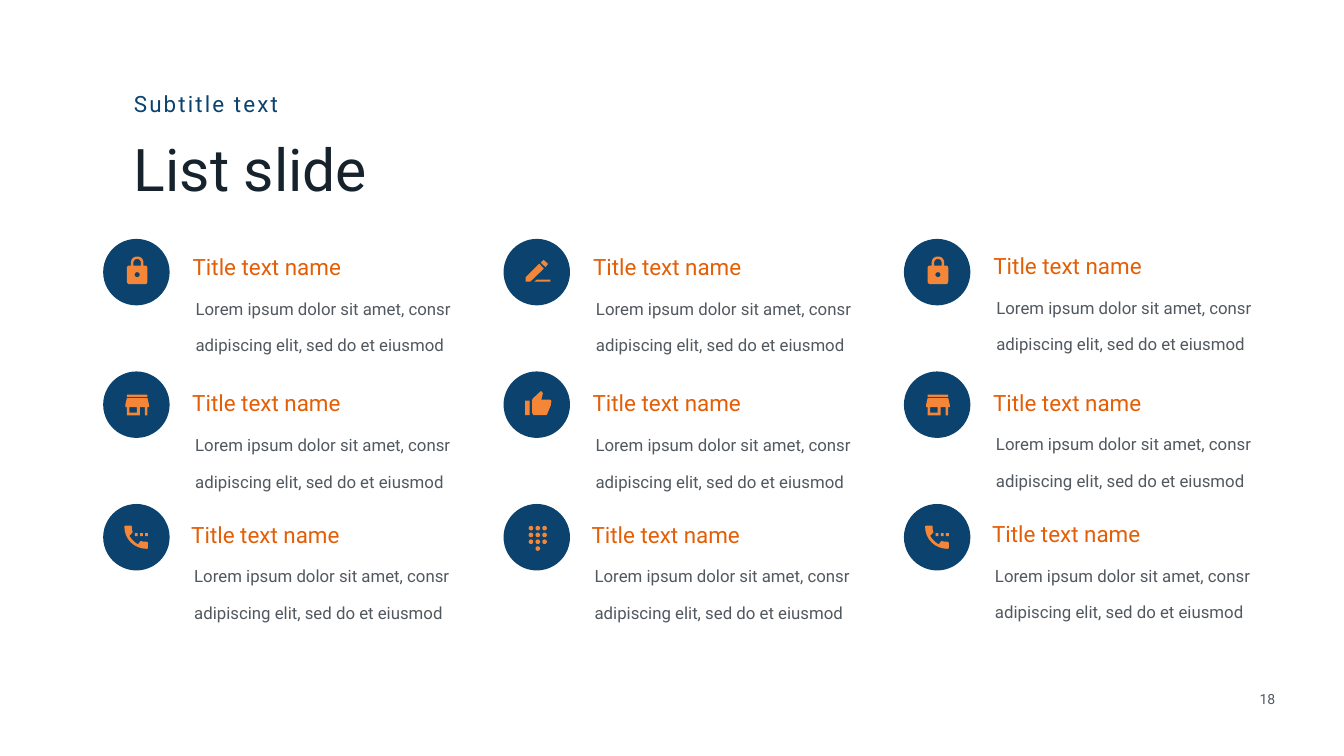
from itertools import product

from pptx import Presentation
from pptx.dml.color import RGBColor
from pptx.enum.shapes import MSO_SHAPE as Shape
from pptx.enum.text import MSO_ANCHOR as Anchor, MSO_AUTO_SIZE as Fit, PP_ALIGN as Align
from pptx.util import Cm, Pt

NAVY = RGBColor(0x0B, 0x42, 0x6E)
INK = RGBColor(0x16, 0x22, 0x2C)
GRAY = RGBColor(0x51, 0x58, 0x5F)
ORANGE = RGBColor(0xF5, 0x86, 0x37)
RUST = RGBColor(0xE4, 0x5E, 0x06)
FONT = "Roboto"

BADGE = 3.35
ICON_GRID = 132
CURVE_STEPS = 8
GRID_LEFT, GRID_TOP = 5.2, 12.04
COLUMN_PITCH, ROW_PITCH = 20.18, 6.68
TEXT_OFFSETS = [(4.41, 0.61), (4.39, 0.81), (4.34, 0.74)]
COLUMN_LIFT = [0, 0, 0.04]

ITEM_TITLE = "Title text name"
ITEM_BODY = "Lorem ipsum dolor sit amet, consr adipiscing elit, sed do et eiusmod"


def rect(x, y, w, h):
    return [(x, y), (x + w, y), (x + w, y + h), (x, y + h)]


def dot(x, y, r):
    k = 0.55 * r
    return [(x, y - r), (x + k, y - r, x + r, y - k, x + r, y),
            (x + r, y + k, x + k, y + r, x, y + r),
            (x - k, y + r, x - r, y + k, x - r, y),
            (x - r, y - k, x - k, y - r, x, y - r)]


# Outline entries: two numbers make a line, six make a cubic curve.
LOCK = [
    [(83, 53), (80, 53), (80, 48), (80, 40, 75, 35, 67.5, 35), (60, 35, 55, 40, 55, 48),
     (55, 53), (52, 53), (49, 53, 47, 55, 47, 58), (47, 84), (47, 87, 49, 90, 52, 90),
     (83, 90), (86, 90, 88, 87, 88, 84), (88, 58), (88, 55, 86, 53, 83, 53)],
    dot(67.5, 71, 5),
    [(75, 53), (60, 53), (60, 48), (60, 43, 63, 40, 67.5, 40), (72, 40, 75, 43, 75, 48)],
]
PENCIL = [
    [(44, 76), (44, 85), (53, 85), (80, 59), (71, 49)],
    [(87, 52), (88, 51, 88, 49, 87, 48), (81, 43), (80, 42, 79, 42, 78, 43), (74, 47), (83, 56)],
    [(66, 81), (61, 85), (93, 85), (93, 81)],
]
STORE = [
    rect(47, 46, 41, 5),
    [(91, 71), (91, 66), (88, 53), (47, 53), (44, 66), (44, 71), (47, 71), (47, 87),
     (73, 87), (73, 71), (83, 71), (83, 87), (88, 87), (88, 71)],
    rect(52, 71, 15, 11),
]
THUMB = [
    rect(43, 58, 9, 29),
    [(95, 60), (95, 57, 93, 56, 90, 56), (75, 56), (78, 44), (78, 43, 77, 42, 77, 41),
     (74, 39), (58, 54), (57, 55, 57, 57, 57, 58), (57, 82), (57, 84, 59, 87, 62, 87),
     (83, 87), (85, 87, 87, 85, 87, 84), (94, 67), (94, 66, 94, 66, 94, 65)],
]
PHONE = [rect(x, 58, 5.5, 6) for x in (63, 73.25, 83.5)] + [
    [(86, 75), (83, 75, 80, 75, 77, 74), (76, 73, 75, 74, 74, 74), (69, 80),
     (62, 76, 56, 70, 52, 63), (58, 57), (58, 56, 59, 55, 58, 54), (57, 52, 57, 48, 57, 45),
     (57, 44, 56, 43, 54, 43), (45, 43), (43, 43, 42, 44, 42, 45), (42, 70, 62, 89, 86, 89),
     (88, 89, 89, 88, 89, 87), (89, 78), (89, 76, 88, 75, 86, 75)],
]
KEYPAD = [dot(54.5 + 13.5 * i, 48 + 13.5 * j, 4.5)
          for j, i in product(range(4), range(3)) if j < 3 or i == 1]

ICON_ROWS = [(LOCK, PENCIL, LOCK), (STORE, THUMB, STORE), (PHONE, KEYPAD, PHONE)]


def write(holder, text, size, color, align=Align.LEFT, anchor=Anchor.TOP,
          inset=(0.1, 0.1), line_spacing=None, tracking=None, fit=Fit.NONE):
    frame = holder.text_frame
    frame.word_wrap = True
    frame.auto_size = fit
    frame.vertical_anchor = anchor
    frame.margin_left = frame.margin_right = Cm(inset[0])
    frame.margin_top = frame.margin_bottom = Cm(inset[1])
    paragraph = frame.paragraphs[0]
    paragraph.alignment = align
    if line_spacing:
        paragraph.line_spacing = line_spacing
    run = paragraph.add_run()
    run.text = text
    run.font.name, run.font.size = FONT, Pt(size)
    run.font.color.rgb = color
    if tracking:
        run._r.get_or_add_rPr().set("spc", str(tracking * 100))


def text_box(shapes, box, text, size, color, **style):
    write(shapes.add_textbox(*map(Cm, box)), text, size, color, **style)


def paint(shape, color):
    shape.shadow.inherit = False
    shape.fill.solid()
    shape.fill.fore_color.rgb = color
    shape.line.fill.background()


def flatten(outline):
    points = [outline[0]]
    for entry in outline[1:]:
        if len(entry) == 2:
            points.append(entry)
            continue
        curve = [points[-1], entry[:2], entry[2:4], entry[4:]]
        for step in range(1, CURVE_STEPS + 1):
            t = step / CURVE_STEPS
            weights = ((1 - t) ** 3, 3 * t * (1 - t) ** 2, 3 * t * t * (1 - t), t ** 3)
            points.append(tuple(sum(w * p[axis] for w, p in zip(weights, curve))
                                for axis in (0, 1)))
    return points


def draw_icon(shapes, left, top, size, outlines):
    unit = size / ICON_GRID
    contours = [[(Cm(x * unit), Cm(y * unit)) for x, y in flatten(outline)]
                for outline in outlines]
    builder = shapes.build_freeform(*contours[0][0])
    for index, contour in enumerate(contours):
        if index:
            builder.move_to(*contour[0])
        builder.add_line_segments(contour[1:], close=True)
    paint(builder.convert_to_shape(Cm(left), Cm(top)), ORANGE)


def list_item(slide, left, top, icon, text_offset):
    shapes = slide.shapes.add_group_shape().shapes
    badge = shapes.add_shape(Shape.OVAL, Cm(left), Cm(top), Cm(BADGE), Cm(BADGE))
    paint(badge, NAVY)
    draw_icon(shapes, left, top, BADGE, icon)
    text_left, text_top = left + text_offset[0], top + text_offset[1]
    text_box(shapes, (text_left, text_top + 1.45, 14, 3.96), ITEM_BODY, 24, GRAY,
             inset=(0.25, 0.13), line_spacing=1.8, fit=Fit.SHAPE_TO_FIT_TEXT)
    text_box(shapes, (text_left, text_top, 9.68, 2.21), ITEM_TITLE, 32, RUST)


def list_grid(slide, left, top):
    for row, icons in enumerate(ICON_ROWS):
        offset_x, offset_y = TEXT_OFFSETS[row]
        for column, icon in enumerate(icons):
            list_item(slide, left + column * COLUMN_PITCH, top + row * ROW_PITCH, icon,
                      (offset_x, offset_y - COLUMN_LIFT[column]))


def heading(slide, left, top):
    title = slide.shapes.title
    title.left, title.top, title.width, title.height = map(Cm, (left, top + 2.13, 21.8, 4.4))
    write(title, "List slide", 84, INK)
    text_box(slide.shapes, (left, top, 15.55, 1.57), "Subtitle text", 32, NAVY,
             anchor=Anchor.MIDDLE, tracking=3, fit=Fit.SHAPE_TO_FIT_TEXT)


def page_number(slide, left, top):
    text_box(slide.shapes, (left, top, 2.5, 1.06), "18", 20, GRAY,
             align=Align.CENTER, fit=Fit.SHAPE_TO_FIT_TEXT)


def main():
    deck = Presentation()
    deck.slide_width, deck.slide_height = Cm(67.74), Cm(38.1)
    slide = deck.slides.add_slide(deck.slide_layouts[5])
    page_number(slide, 62.63, 34.7)
    heading(slide, 6.65, 4.45)
    list_grid(slide, GRID_LEFT, GRID_TOP)
    deck.save("out.pptx")


if __name__ == "__main__":
    main()
